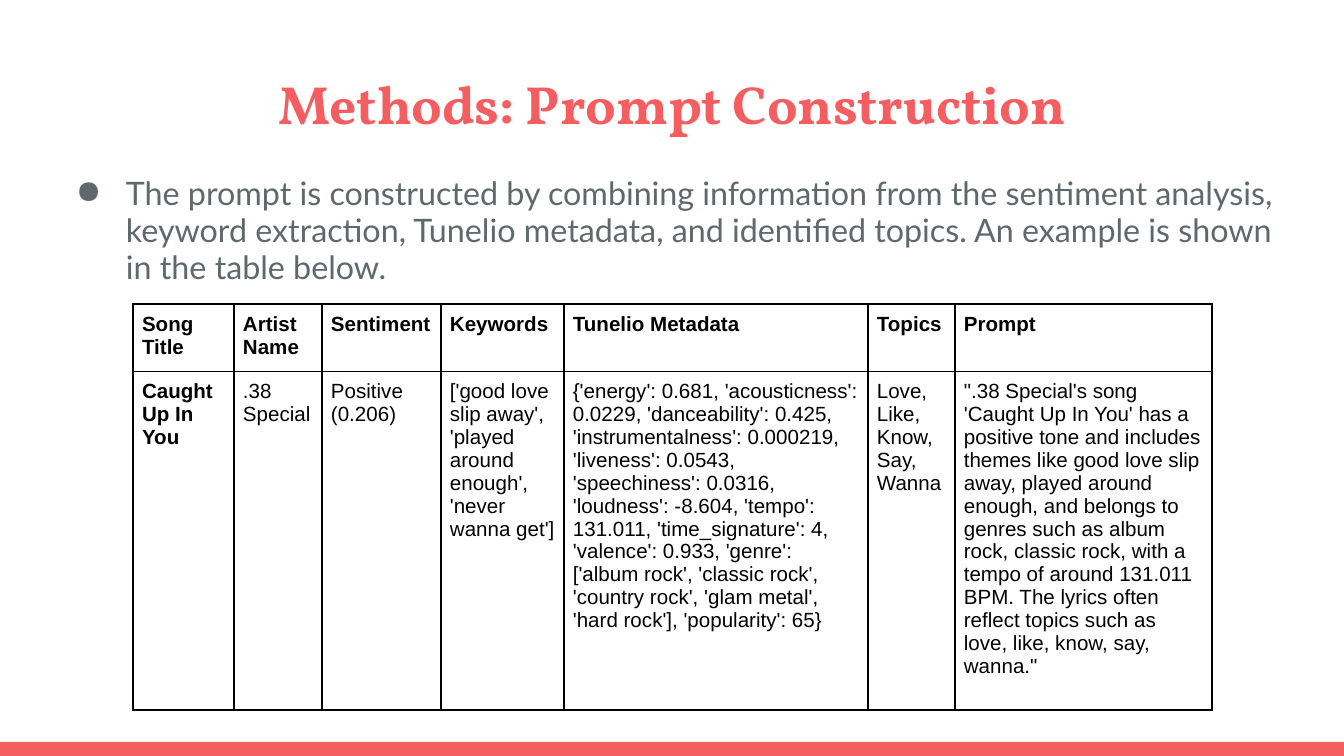
from dataclasses import dataclass

from lxml import etree
from pptx import Presentation
from pptx.dml.color import RGBColor
from pptx.enum.shapes import MSO_SHAPE
from pptx.enum.text import MSO_ANCHOR, PP_ALIGN
from pptx.oxml.ns import qn
from pptx.util import Emu, Pt

RECT = MSO_SHAPE.RECTANGLE
TOP = MSO_ANCHOR.TOP
LEFT, CENTER = PP_ALIGN.LEFT, PP_ALIGN.CENTER
BLANK = 6
SIDES = ("left", "top", "right", "bottom")


@dataclass(frozen=True)
class Theme:
    coral: str = "F55E61"
    slate: str = "5E696C"
    black: str = "000000"
    title: tuple = ("Vollkorn", 28.8)
    body: tuple = ("Lato", 17.3)
    cell: tuple = ("Arial", 11)


THEME = Theme()

TITLE = "Methods: Prompt Construction"
BODY = (
    "The prompt is constructed by combining information from the sentiment "
    "analysis, keyword extraction, Tunelio metadata, and identified topics. "
    "An example is shown in the table below."
)
# Each column: width, heading, example
COLUMNS = [
    (101, "Song Title", "Caught Up In You"),
    (88, "Artist Name", ".38 Special"),
    (119, "Sentiment", "Positive (0.206)"),
    (123, "Keywords",
     "['good love slip away', 'played around enough', 'never wanna get']"),
    (304, "Tunelio Metadata",
     "{'energy': 0.681, 'acousticness': 0.0229, 'danceability': 0.425, "
     "'instrumentalness': 0.000219, 'liveness': 0.0543, "
     "'speechiness': 0.0316, 'loudness': -8.604, 'tempo': 131.011, "
     "'time_signature': 4, 'valence': 0.933, 'genre': ['album rock', "
     "'classic rock', 'country rock', 'glam metal', 'hard rock'], "
     "'popularity': 65}"),
    (87, "Topics", "Love, Like, Know, Say, Wanna"),
    (257, "Prompt",
     "\".38 Special's song 'Caught Up In You' has a positive tone and "
     "includes themes like good love slip away, played around enough, and "
     "belongs to genres such as album rock, classic rock, with a tempo of "
     "around 131.011 BPM. The lyrics often reflect topics such as love, "
     "like, know, say, wanna.\""),
]
ROWS = (64, 315)


def px(n):
    return Emu(round(n * 914400 / 134.4))


def apply(item, values):
    for name, value in values.items():
        setattr(item, name, value)


def pad(item, n):
    apply(item, {f"margin_{side}": px(n) for side in SIDES})


def write(frame, text, font, color, bold=False, align=LEFT):
    para = frame.paragraphs[0]
    para.alignment = align
    run = para.add_run()
    run.text = text
    name, size = font
    apply(run.font, {"name": name, "size": Pt(size), "bold": bold})
    run.font.color.rgb = RGBColor.from_string(color)
    return para


def add_text(slide, box, *style, **more):
    frame = slide.shapes.add_textbox(*map(px, box)).text_frame
    apply(frame, {"word_wrap": True, "vertical_anchor": TOP})
    pad(frame, 13)
    return write(frame, *style, **more)


def add_bullet(para, color):
    para.line_spacing = 0.95
    props = para._p.get_or_add_pPr()
    props.set("marL", str(px(67)))
    props.set("indent", str(px(-50)))
    tint = etree.SubElement(props, qn("a:buClr"))
    etree.SubElement(tint, qn("a:srgbClr"), val=color)
    etree.SubElement(props, qn("a:buChar"), char="●")


def add_border(cell, color):
    props = cell._tc.get_or_add_tcPr()
    for spot, tag in enumerate(("a:lnL", "a:lnR", "a:lnT", "a:lnB")):
        line = etree.Element(qn(tag), w=str(Pt(1)))
        fill = etree.SubElement(line, qn("a:solidFill"))
        etree.SubElement(fill, qn("a:srgbClr"), val=color)
        props.insert(spot, line)


def add_grid(slide, left, top):
    width = sum(col[0] for col in COLUMNS)
    box = map(px, (left, top, width, sum(ROWS)))
    table = slide.shapes.add_table(len(ROWS), len(COLUMNS), *box).table
    apply(table, {"first_row": False, "horz_banding": False})
    for r, height in enumerate(ROWS):
        table.rows[r].height = px(height)
    for c, (width, *texts) in enumerate(COLUMNS):
        table.columns[c].width = px(width)
        for r, text in enumerate(texts):
            cell = table.cell(r, c)
            cell.fill.background()
            cell.vertical_anchor = TOP
            pad(cell, 9)
            write(cell.text_frame, text, THEME.cell, THEME.black,
                  bold=r == 0 or c == 0)
            add_border(cell, THEME.black)


def add_bar(slide, box, color):
    bar = slide.shapes.add_shape(RECT, *map(px, box))
    bar.shadow.inherit = False
    bar.fill.solid()
    bar.fill.fore_color.rgb = RGBColor.from_string(color)
    bar.line.fill.background()


def main():
    deck = Presentation()
    apply(deck, {"slide_width": px(1344), "slide_height": px(756)})
    slide = deck.slides.add_slide(deck.slide_layouts[BLANK])

    # Footer band
    add_bar(slide, (0, 742, 1344, 14), THEME.coral)

    # Heading and lead-in
    add_text(slide, (46, 58, 1252, 91), TITLE, THEME.title, THEME.coral,
             bold=True, align=CENTER)
    lead = add_text(slide, (46, 163, 1252, 141), BODY, THEME.body,
                    THEME.slate)
    add_bullet(lead, THEME.slate)

    # Example prompt
    add_grid(slide, 133, 304)
    deck.save("out.pptx")


if __name__ == "__main__":
    main()
